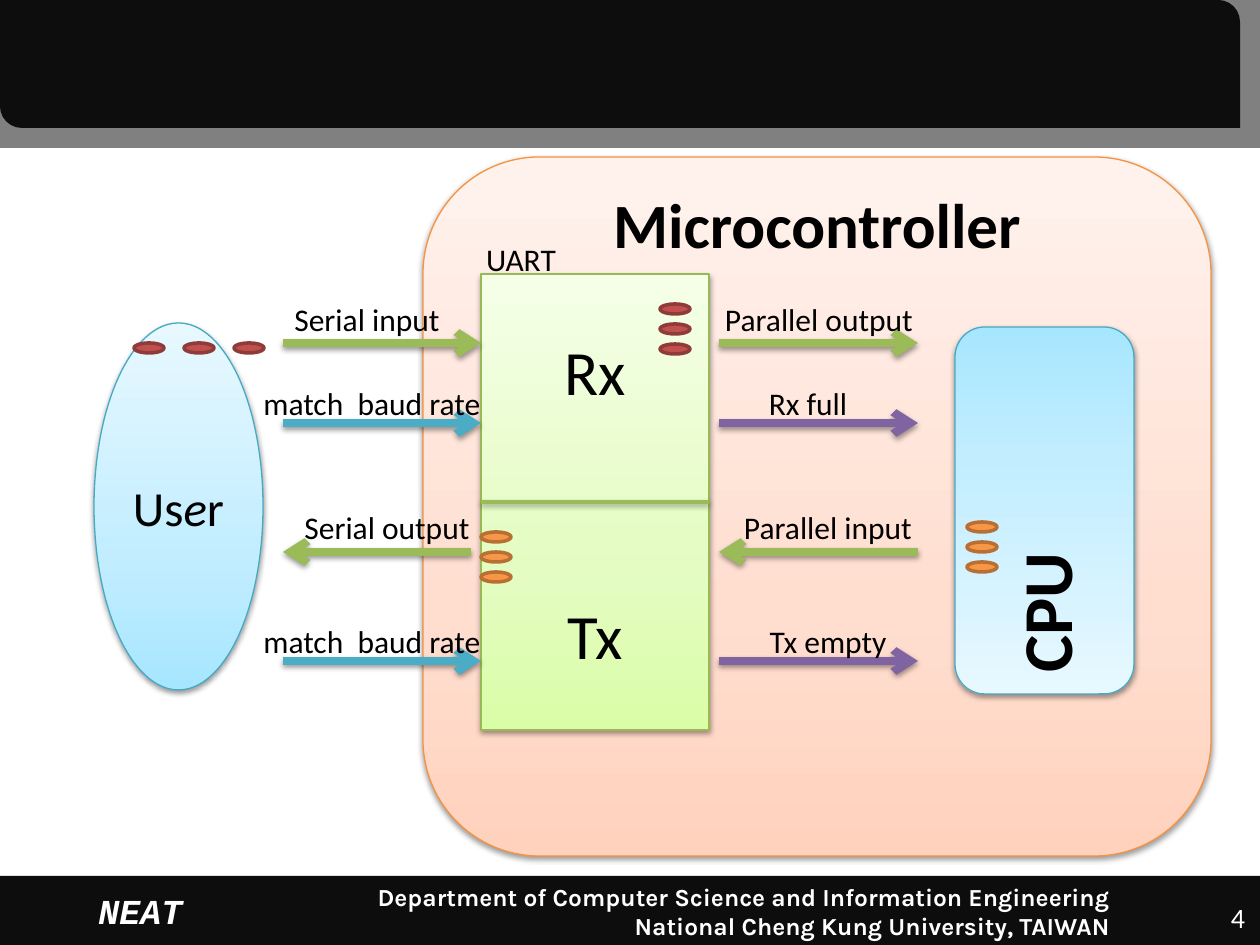
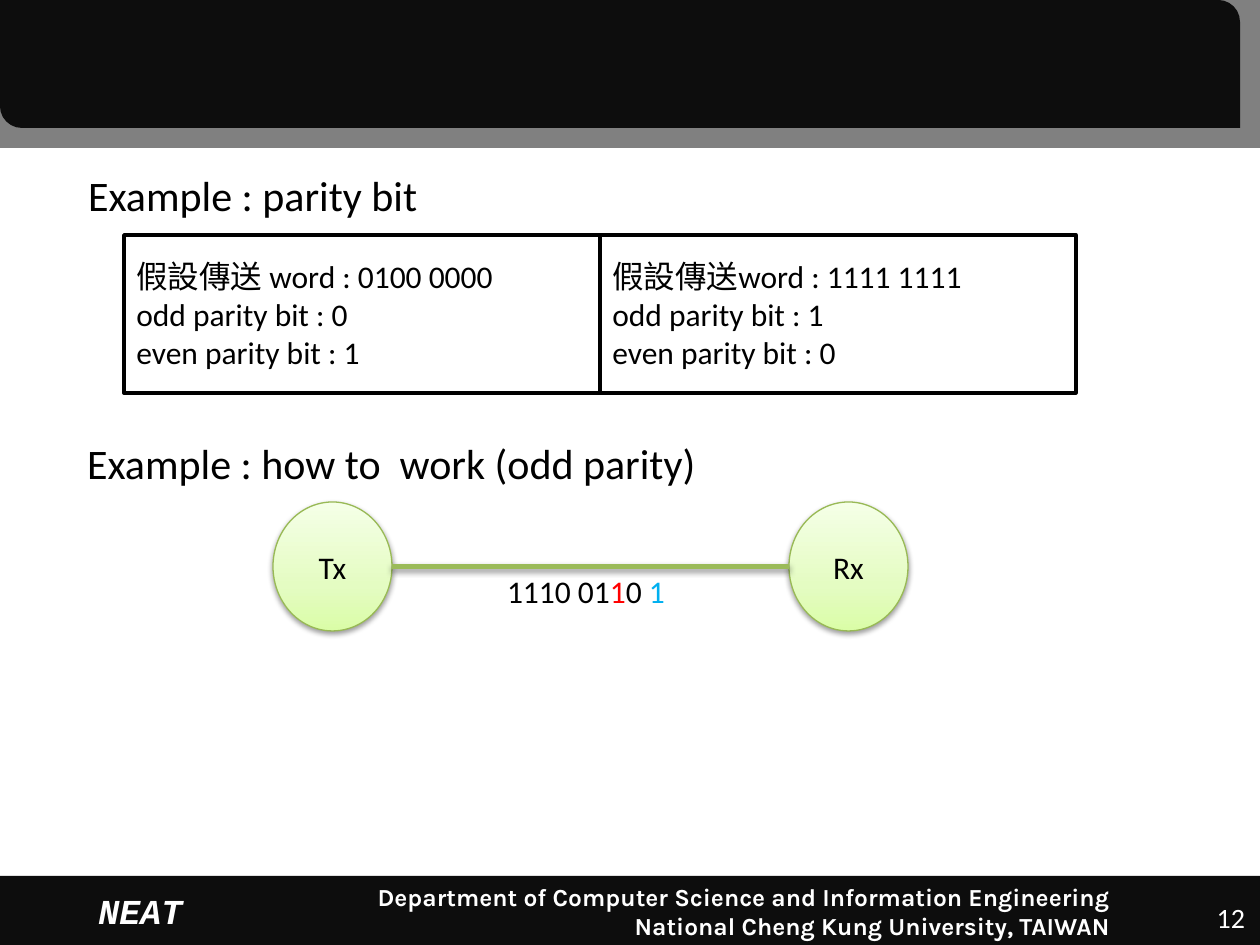
"""Build two UART slides: the receive/transmit block diagram and the parity bit examples."""
from dataclasses import dataclass

from lxml.etree import SubElement
from pptx import Presentation
from pptx.dml.color import RGBColor
from pptx.enum.shapes import MSO_CONNECTOR as Connector, MSO_SHAPE as Shape
from pptx.enum.text import MSO_ANCHOR as Anchor, PP_ALIGN as Align
from pptx.oxml.ns import qn
from pptx.util import Pt

EMU_PER_PX = 914400 / 126
WIDTH, HEIGHT = 1260, 945


@dataclass(frozen=True)
class Theme:
    """Colours, fonts and type sizes."""
    black: str = "000000"
    white: str = "FFFFFF"
    band: str = "0D0D0D"
    band_edge: str = "808080"
    green: str = "9BBB59"
    teal: str = "4BACC6"
    purple: str = "8064A2"
    flipped: str = "FF0000"
    parity: str = "00B0F0"
    received: tuple = ("C0504D", "8E3B39")
    sent: tuple = ("F79646", "B76F34")
    peach_fill: tuple = ("FFD2BD", "FFDED0", "FFF2ED")
    lime_fill: tuple = ("DAFDA7", "E4FCC2", "F5FFE7")
    sky_fill: tuple = ("A7E6FF", "C1EDFF", "E7F8FF")
    peach_line: str = "F69240"
    lime_line: str = "98B955"
    sky_line: str = "46AAC5"
    body_font: str = "Calibri"
    footer_font: str = "Karla"
    mark_font: str = "Courier New"
    footer: int = 14
    number: int = 16
    body: int = 18
    mark: int = 20
    heading: int = 24
    user: int = 28
    block: int = 36
    cpu: int = 40


THEME = Theme()

FOOTER_LINES = ["Department of Computer Science and Information Engineering",
                "National Cheng Kung University, TAIWAN"]
LAB_MARK = "NEAT"

LEFT_LANE, LEFT_LANE_BACK, RIGHT_LANE = (283, 481), (471, 283), (719, 918)
SIGNALS = [
    ("Serial input", LEFT_LANE, 343, THEME.green, (367, 319)),
    ("Parallel output", RIGHT_LANE, 343, THEME.green, (819, 319)),
    ("match  baud rate", LEFT_LANE, 423, THEME.teal, (372, 403)),
    ("Rx full", RIGHT_LANE, 423, THEME.purple, (808, 403)),
    ("Serial output", LEFT_LANE_BACK, 552, THEME.green, (387, 527)),
    ("Parallel input", RIGHT_LANE[::-1], 552, THEME.green, (828, 527)),
    ("match  baud rate", LEFT_LANE, 661, THEME.teal, (372, 641)),
    ("Tx empty", RIGHT_LANE, 661, THEME.purple, (828, 641)),
]
BLOCK_LABELS = [
    ("Microcontroller", (817, 223), THEME.block, True),
    ("Rx", (595, 370), THEME.block, False),
    ("Tx", (595, 634), THEME.block, False),
    ("UART", (521, 259), THEME.body, False),
]
BIT_COUNT, BIT_SIZE = 3, (30, 10)
BIT_ROWS = [
    ((134, 343), (50, 0), THEME.received),
    ((660, 304), (0, 20), THEME.received),
    ((967, 522), (0, 20), THEME.sent),
    ((481, 532), (0, 20), THEME.sent),
]

HEADINGS = [("Example : parity bit", 88, 195), ("Example : how to  work (odd parity)", 87, 463)]
PARITY_CELLS = [
    ["假設傳送 word : 0100 0000", "odd parity bit : 0", "even parity bit : 1"],
    ["假設傳送word : 1111 1111", "odd parity bit : 1", "even parity bit : 0"],
]
CELL_LEFT, CELL_TOP, CELL_WIDTH, CELL_HEIGHT = 124, 235, 476, 158
STATIONS = [("Tx", 273), ("Rx", 789)]
STATION_TOP, STATION_WIDTH, STATION_HEIGHT = 502, 119, 129
SENT_WORD = [("1110 01", THEME.black), ("1", THEME.flipped), ("0 ", THEME.black), ("1", THEME.parity)]


def px(*lengths):
    return [round(length * EMU_PER_PX) for length in lengths]


def rgb(color):
    return RGBColor.from_string(color)


def add_shadow(effects):
    shadow = SubElement(effects, qn("a:outerShdw"), blurRad="40000", dist="20000",
                        dir="5400000", rotWithShape="0")
    color = SubElement(shadow, qn("a:srgbClr"), val=THEME.black)
    SubElement(color, qn("a:alpha"), val="38000")


def fill_gradient(shape, colors, angle):
    shape.fill.gradient()
    shape.fill.gradient_angle = angle
    stops = shape._element.spPr.find(qn("a:gradFill")).find(qn("a:gsLst"))
    for stop in list(stops):
        stops.remove(stop)
    for position, color in zip((0, 35, 100), colors):
        stop = SubElement(stops, qn("a:gs"), pos=str(position * 1000))
        SubElement(stop, qn("a:srgbClr"), val=color)


def add_shape(slide, kind, box, fill, line=None, weight=0.75, angle=90):
    shape = slide.shapes.add_shape(kind, *px(*box))
    shaded = isinstance(fill, tuple)
    if shaded:
        fill_gradient(shape, fill, angle)
    else:
        shape.fill.solid()
        shape.fill.fore_color.rgb = rgb(fill)
    if line:
        shape.line.color.rgb = rgb(line)
        shape.line.width = Pt(weight)
    else:
        shape.line.fill.background()
    shape.shadow.inherit = False
    if shaded:
        add_shadow(shape._element.spPr.find(qn("a:effectLst")))
    return shape


def add_line(slide, start, end, color, weight, arrow=False):
    line = slide.shapes.add_connector(Connector.STRAIGHT, *px(*start, *end))
    line.line.color.rgb = rgb(color)
    line.line.width = Pt(weight)
    properties = line._element.spPr
    if arrow:
        SubElement(properties.find(qn("a:ln")), qn("a:tailEnd"), type="arrow")
    add_shadow(SubElement(properties, qn("a:effectLst")))


def write(shape, paragraphs, size, align=Align.CENTER, font=THEME.body_font, color=THEME.black,
          bold=False, italic=False, anchor=Anchor.MIDDLE, wrap=True, insets=None):
    """Fill a shape with paragraphs, each a string or a list of (text, colour) runs."""
    frame = shape.text_frame
    frame.word_wrap = wrap
    frame.vertical_anchor = anchor
    if insets is not None:
        side, edge = px(*insets)
        frame.margin_left = frame.margin_right = side
        frame.margin_top = frame.margin_bottom = edge
    for index, content in enumerate(paragraphs):
        paragraph = frame.add_paragraph() if index else frame.paragraphs[0]
        paragraph.alignment = align
        runs = [(content, color)] if isinstance(content, str) else content
        for text, run_color in runs:
            run = paragraph.add_run()
            run.text = text
            run.font.name = font
            run.font.size = Pt(size)
            run.font.bold = bold
            run.font.italic = italic
            run.font.color.rgb = rgb(run_color)


def add_text(slide, box, paragraphs, size, **style):
    write(slide.shapes.add_textbox(*px(*box)), paragraphs, size, **style)


def add_label(slide, center, content, size, bold=False):
    width, height = 500, 80
    box = (center[0] - width / 2, center[1] - height / 2, width, height)
    add_text(slide, box, [content], size, bold=bold, insets=(0, 0))


def add_framed_slide(presentation, number):
    slide = presentation.slides.add_slide(presentation.slide_layouts[6])
    add_shape(slide, Shape.RECTANGLE, (0, 0, WIDTH, 148), THEME.band_edge)
    banner = add_shape(slide, Shape.ROUND_2_DIAG_RECTANGLE, (0, 0, 1240, 128), THEME.band)
    banner.adjustments[0], banner.adjustments[1] = 0, 0.17
    add_shape(slide, Shape.RECTANGLE, (0, 876, WIDTH, HEIGHT - 876), THEME.band)
    add_text(slide, (340, 880, 770, 62), FOOTER_LINES, THEME.footer, align=Align.RIGHT,
             font=THEME.footer_font, color=THEME.white, bold=True, insets=(0, 1))
    add_text(slide, (1191, 895, 59, 50), [str(number)], THEME.number, align=Align.RIGHT,
             color=THEME.white, anchor=Anchor.TOP, insets=(5, 6))
    add_text(slide, (86, 883, 121, 54), [LAB_MARK], THEME.mark, align=Align.LEFT,
             font=THEME.mark_font, color=THEME.white, bold=True, italic=True,
             anchor=Anchor.TOP, wrap=False)
    return slide


def build_uart_slide(presentation):
    slide = add_framed_slide(presentation, 4)
    add_shape(slide, Shape.ROUNDED_RECTANGLE, (423, 157, 788, 699), THEME.peach_fill, THEME.peach_line)
    add_shape(slide, Shape.RECTANGLE, (481, 274, 228, 456), THEME.lime_fill, THEME.lime_line)
    add_line(slide, (481, 502), (709, 502), THEME.green, 2)
    user = add_shape(slide, Shape.OVAL, (94, 323, 169, 367), THEME.sky_fill, THEME.sky_line)
    write(user, [[("Us", THEME.black), ("e", THEME.black), ("r", THEME.black)]], THEME.user)
    user.text_frame.paragraphs[0].runs[1].font.italic = True
    cpu = add_shape(slide, Shape.ROUNDED_RECTANGLE, (955, 327, 179, 367), THEME.sky_fill,
                    THEME.sky_line, angle=270)
    write(cpu, ["CPU"], THEME.cpu, align=Align.LEFT, bold=True)
    cpu.text_frame._txBody.bodyPr.set("vert", "vert270")
    for text, (start, end), y, color, center in SIGNALS:
        add_line(slide, (start, y), (end, y), color, 4.5, arrow=True)
        add_label(slide, center, text, THEME.body)
    for text, center, size, bold in BLOCK_LABELS:
        add_label(slide, center, text, size, bold)
    for (left, top), (step_x, step_y), (fill, line) in BIT_ROWS:
        for index in range(BIT_COUNT):
            box = (left + index * step_x, top + index * step_y, *BIT_SIZE)
            add_shape(slide, Shape.OVAL, box, fill, line, 2)


def build_parity_slide(presentation):
    slide = add_framed_slide(presentation, 12)
    for text, left, middle in HEADINGS:
        add_text(slide, (left, middle - 30, 700, 60), [text], THEME.heading,
                 align=Align.LEFT, insets=(0, 0))
    for index, lines in enumerate(PARITY_CELLS):
        box = (CELL_LEFT + index * CELL_WIDTH, CELL_TOP, CELL_WIDTH, CELL_HEIGHT)
        cell = add_shape(slide, Shape.RECTANGLE, box, THEME.white, THEME.black, 2)
        write(cell, lines, THEME.body, align=Align.LEFT)
    for name, left in STATIONS:
        box = (left, STATION_TOP, STATION_WIDTH, STATION_HEIGHT)
        station = add_shape(slide, Shape.OVAL, box, THEME.lime_fill, THEME.lime_line)
        write(station, [name], THEME.body)
    middle = STATION_TOP + STATION_HEIGHT / 2
    add_line(slide, (STATIONS[0][1] + STATION_WIDTH, middle), (STATIONS[1][1], middle), THEME.green, 3)
    add_label(slide, (586, 591), SENT_WORD, THEME.body)


def main():
    presentation = Presentation()
    presentation.slide_width, presentation.slide_height = px(WIDTH, HEIGHT)
    build_uart_slide(presentation)
    build_parity_slide(presentation)
    presentation.save("out.pptx")


if __name__ == "__main__":
    main()
